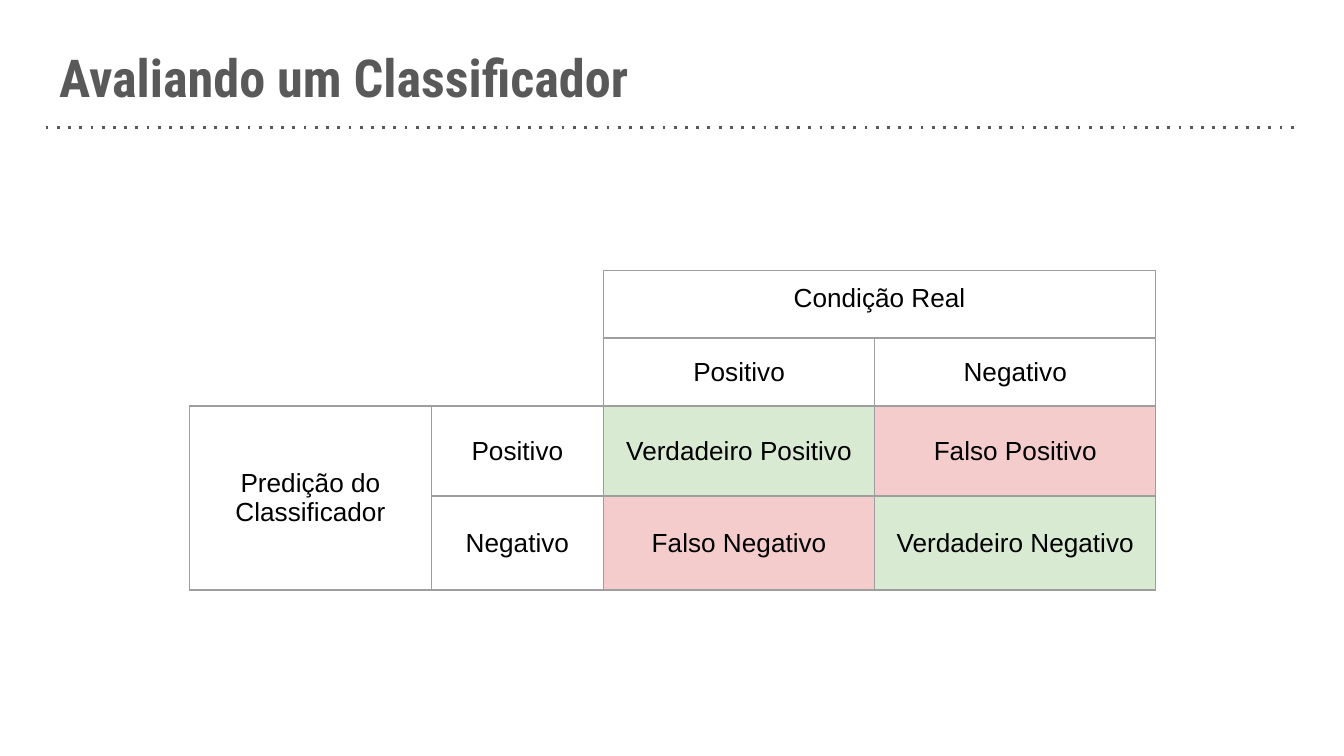
from lxml.etree import SubElement
from pptx import Presentation
from pptx.dml.color import RGBColor
from pptx.enum.dml import MSO_LINE
from pptx.enum.shapes import MSO_CONNECTOR
from pptx.enum.text import MSO_ANCHOR, PP_ALIGN
from pptx.oxml.ns import qn
from pptx.util import Inches, Pt

HUES = {"gray": "595959", "edge": "9E9E9E", "text": "000000",
        "good": "D9EAD3", "bad": "F4CCCC"}


def hue(name):
    return RGBColor.from_string(HUES[name])


def add_edges(cell, sides):
    props = cell._tc.get_or_add_tcPr()
    for side in "LRTB":
        line = SubElement(props, qn(f"a:ln{side}"), w=str(Pt(0.75)))
        if side in sides:
            fill = SubElement(line, qn("a:solidFill"))
            SubElement(fill, qn("a:srgbClr"), val=HUES["edge"])
        else:
            SubElement(line, qn("a:noFill"))


deck = Presentation()
deck.slide_width = Inches(10)
deck.slide_height = Inches(10 * 9 / 16)
slide = deck.slides.add_slide(deck.slide_layouts[5])

rule = slide.shapes.add_connector(
    MSO_CONNECTOR.STRAIGHT, Inches(0.34), Inches(0.95), Inches(9.66), Inches(0.95))
rule.line.color.rgb = hue("gray")
rule.line.width = Pt(1.5)
rule.line.dash_style = MSO_LINE.ROUND_DOT
props = rule._element.spPr
props.find(".//" + qn("a:prstDash")).set("val", "dot")
SubElement(props, qn("a:effectLst"))

title = slide.shapes.title
title.left, title.top = Inches(0.34), Inches(0.24)
title.width, title.height = Inches(9.32), Inches(0.63)
frame = title.text_frame
frame.text = "Avaliando um Classificador"
frame.word_wrap = True
frame.vertical_anchor = MSO_ANCHOR.TOP
frame.margin_left = frame.margin_right = Inches(0.1)
frame.margin_top = frame.margin_bottom = Inches(0.1)
para = frame.paragraphs[0]
para.alignment = PP_ALIGN.LEFT
para.font.name = "Roboto Condensed"
para.font.size = Pt(28)
para.font.bold = True
para.font.color.rgb = hue("gray")

wides = [1.8, 1.28, 2.02, 2.09]
highs = [0.41, 0.41, 0.67, 0.7]
words = [
    ["", "", "Condição Real", ""],
    ["", "", "Positivo", "Negativo"],
    ["Predição do\vClassificador", "Positivo", "Verdadeiro Positivo", "Falso Positivo"],
    ["", "Negativo", "Falso Negativo", "Verdadeiro Negativo"],
]
table = slide.shapes.add_table(
    4, 4, Inches(1.41), Inches(2.01), Inches(sum(wides)), Inches(sum(highs))).table
table.first_row = table.horz_banding = False
for col, wide in zip(table.columns, wides):
    col.width = Inches(wide)
for row, high in zip(table.rows, highs):
    row.height = Inches(high)
table.cell(0, 2).merge(table.cell(0, 3))
table.cell(2, 0).merge(table.cell(3, 0))

for r, row in enumerate(words):
    for c, text in enumerate(row):
        cell = table.cell(r, c)
        if cell.is_spanned:
            continue
        blank = r < 2 and c < 2
        sides = ("R" if c == 1 else "") + ("B" if r == 1 else "")
        add_edges(cell, sides if blank else "LRTB")
        cell.margin_left = cell.margin_right = Inches(0.1)
        cell.margin_top = cell.margin_bottom = Inches(0.1)
        if r > 1 and c > 1:
            cell.fill.solid()
            cell.fill.fore_color.rgb = hue("good" if r == c else "bad")
        else:
            cell.fill.background()
        if blank:
            continue
        cell.text = text
        cell.vertical_anchor = MSO_ANCHOR.MIDDLE if r else MSO_ANCHOR.TOP
        para = cell.text_frame.paragraphs[0]
        para.alignment = PP_ALIGN.CENTER
        para.font.name = "Arial"
        para.font.size = Pt(14)
        para.font.color.rgb = hue("text")

deck.save("out.pptx")
